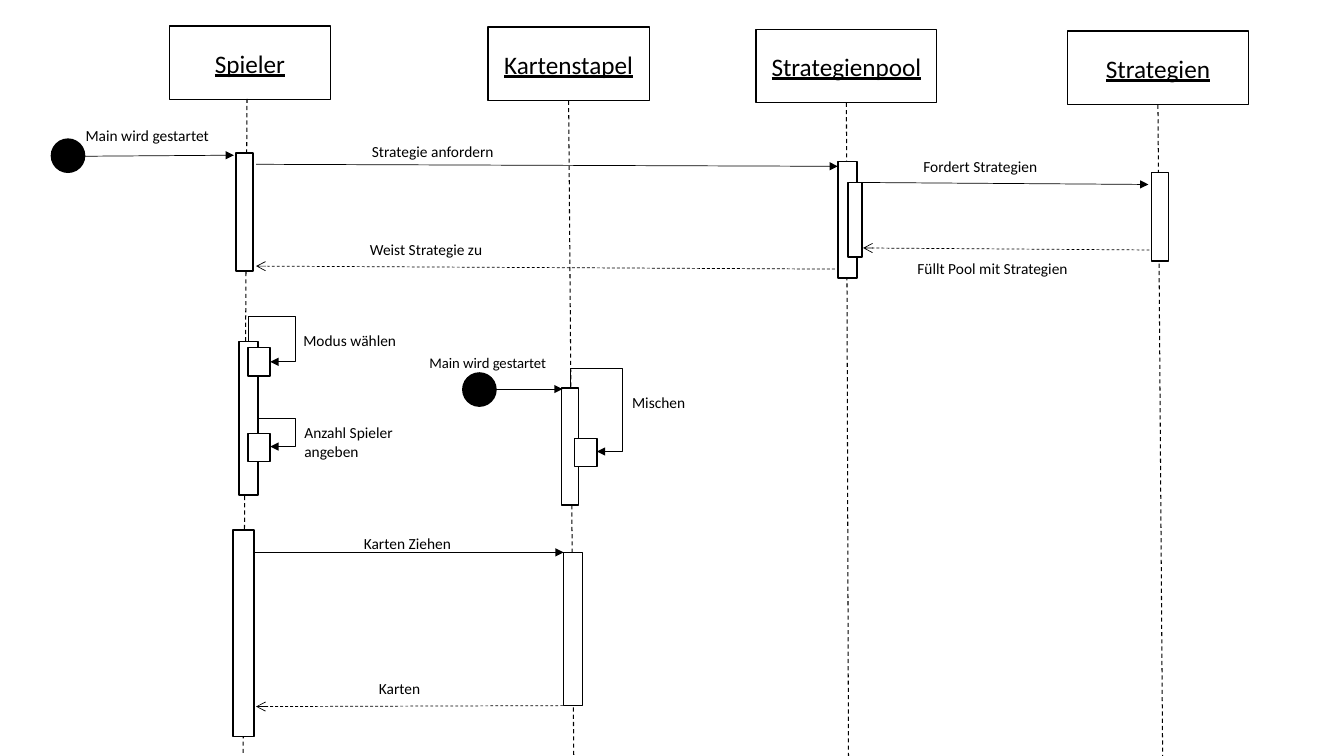
from pptx import Presentation
from pptx.dml.color import RGBColor
from pptx.enum.dml import MSO_LINE
from pptx.enum.shapes import MSO_CONNECTOR as Connector, MSO_SHAPE as Shape
from pptx.enum.text import MSO_ANCHOR as Anchor, MSO_AUTO_SIZE as AutoSize, PP_ALIGN as Align
from pptx.oxml.ns import qn
from pptx.util import Pt
from lxml.etree import SubElement

EMU_PER_PX = 9144  # 100 px to the inch
BLACK = RGBColor(0, 0, 0)
WHITE = RGBColor(255, 255, 255)
FONT = "Calibri"
BOTTOM, HEAD_HEIGHT, START_SIZE = 2, 73, 33

# name, left, top, width, lifeline start, lifeline end
PARTICIPANTS = [
    ("Spieler", 168, 26, 160, (245, 98), (239, 1115)),
    ("Kartenstapel", 484, 27, 160, (564, 101), (572, 1124)),
    ("Strategienpool", 750, 29, 179, (840, 102), (849, 3097)),
    ("Strategien", 1059, 31, 179, (1149, 104), (1170, 3099)),
]
ACTIVATIONS = [
    (234, 152, 17, 117), (237, 339, 19, 152), (231, 526, 21, 205),
    (557, 385, 17, 116), (831, 160, 19, 116), (1142, 171, 17, 88),
]
CARD_ACTIVATION = (559, 548, 19, 152)
NESTED_ACTIVATIONS = [
    (246, 345, 22, 28), (246, 430, 22, 28), (570, 435, 22, 28), (841, 181, 14, 74),
]
STARTS = [(51, 138), (459, 370)]
CALLS = [
    ((83, 155), (232, 154)), ((254, 163), (831, 165)), ((848, 181), (1139, 183)),
    ((492, 386), (558, 386)), ((252, 548), (559, 548)),
]
REPLIES = [((828, 267), (254, 264)), ((1140, 248), (856, 246))]
# start, end, rightmost x, topmost y
SELF_CALLS = [
    ((246, 339), (268, 359), 293, 314),
    ((256, 415), (268, 443), 293, 415),
    ((566, 385), (592, 448), 617, 365),
]
# text, left, top, width, height, font size
LABELS = [
    ("Main wird gestartet", 75, 120, 150, 29, 11),
    ("Strategie anfordern", 359, 136, 150, 29, 11),
    ("Weist Strategie zu", 357, 233, 150, 29, 11),
    ("Fordert Strategien", 906, 151, 150, 29, 11),
    ("Füllt Pool mit Strategien", 900, 252, 186, 29, 11),
    ("Modus wählen", 291, 324, 122, 29, 11),
    ("Anzahl Spieler angeben", 292, 415, 122, 47, 11),
    ("Main wird gestartet", 416, 346, 143, 28, 10.5),
    ("Mischen", 617, 385, 122, 29, 11),
    ("Karten Ziehen", 351, 525, 122, 29, 11),
    ("Karten", 366, 669, 122, 29, 11),
]


def px(*lengths):
    return [round(length * EMU_PER_PX) for length in lengths]


def add_box(page, kind, frame, fill=WHITE):
    box = page.shapes.add_shape(kind, *px(*frame))
    box.shadow.inherit = False
    box.fill.solid()
    box.fill.fore_color.rgb = fill
    box.line.color.rgb = BLACK
    box.line.width = Pt(1)
    return box


def write(frame, text, size):
    frame.word_wrap = True
    para = frame.paragraphs[0]
    para.text = text
    para.font.name = FONT
    para.font.size = Pt(size)
    para.font.color.rgb = BLACK
    return para


def add_label(page, text, left, top, width, height, size):
    box = page.shapes.add_textbox(*px(left, top, width, height))
    write(box.text_frame, text, size)
    box.text_frame.auto_size = AutoSize.SHAPE_TO_FIT_TEXT


def add_line(page, start, end, weight=0.5, dashed=False, tip=None, kind=Connector.STRAIGHT):
    line = page.shapes.add_connector(kind, *px(*start, *end))
    line.line.color.rgb = BLACK
    line.line.width = Pt(weight)
    if dashed:
        line.line.dash_style = MSO_LINE.DASH
    properties = line._element.spPr
    if tip:
        SubElement(properties.get_or_add_ln(), qn("a:tailEnd"), type=tip)
    SubElement(properties, qn("a:effectLst"))
    return line


def add_participant(page, name, left, top, width, start, end):
    head = add_box(page, Shape.RECTANGLE, (left, top, width, HEAD_HEIGHT))
    para = write(head.text_frame, name, 18)
    para.font.underline = True
    para.alignment = Align.CENTER
    head.text_frame.vertical_anchor = Anchor.MIDDLE
    lifeline = add_line(page, start, end, weight=0.75, dashed=True)
    if abs(start[0] - left - width / 2) < 1:
        lifeline.begin_connect(head, BOTTOM)


def add_self_call(page, start, end, reach, peak):
    """Bent arrow out to x = reach; if peak lies above the start, it first climbs there."""
    (x, y), (end_x, end_y) = start, end
    width, height = end_x - x, end_y - y
    bends = [(reach - x) / width]
    climbs = peak < y
    if climbs:
        bends.insert(0, (peak - y) / height)
        left = (x + end_x - height) / 2
        top = (y + end_y - width) / 2
        start, end = (left, top), (left + height, top + width)
    arrow = add_line(page, start, end, tip="triangle", kind=Connector.ELBOW)
    properties = arrow._element.spPr
    geometry = properties.find(qn("a:prstGeom"))
    if climbs:
        geometry.set("prst", "bentConnector4")
        transform = properties.find(qn("a:xfrm"))
        transform.set("rot", str(270 * 60000))
        transform.set("flipH", "1")
    guides = geometry.find(qn("a:avLst"))
    for number, bend in enumerate(bends, 1):
        SubElement(guides, qn("a:gd"), name=f"adj{number}", fmla=f"val {round(bend * 100000)}")


def main():
    deck = Presentation()
    deck.slide_width, deck.slide_height = px(1333, 750)
    page = deck.slides.add_slide(deck.slide_layouts[6])

    for participant in PARTICIPANTS:
        add_participant(page, *participant)
    for frame in ACTIVATIONS:
        add_box(page, Shape.RECTANGLE, frame)
    card_activation = add_box(page, Shape.RECTANGLE, CARD_ACTIVATION)
    for left, top in STARTS:
        add_box(page, Shape.OVAL, (left, top, START_SIZE, START_SIZE), BLACK)

    for start, end in CALLS:
        add_line(page, start, end, tip="triangle")
    for start, end in REPLIES:
        add_line(page, start, end, dashed=True, tip="arrow")
    card_reply = add_line(page, (569, 700), (254, 701), dashed=True, tip="arrow")
    card_reply.begin_connect(card_activation, BOTTOM)

    for frame in NESTED_ACTIVATIONS:
        add_box(page, Shape.RECTANGLE, frame)
    for self_call in SELF_CALLS:
        add_self_call(page, *self_call)
    for label in LABELS:
        add_label(page, *label)
    deck.save("out.pptx")


if __name__ == "__main__":
    main()
